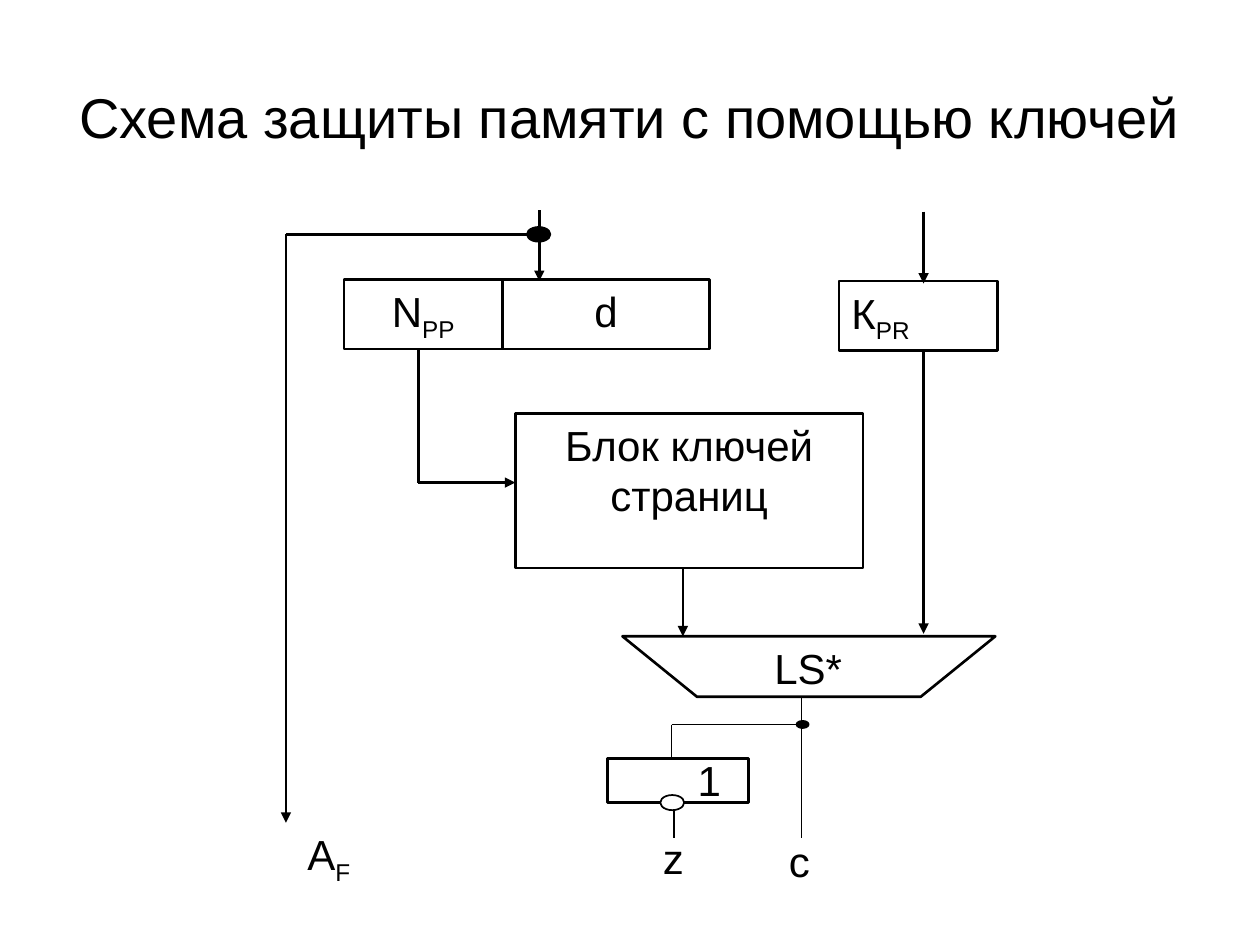
from dataclasses import dataclass

from lxml.etree import SubElement
from pptx import Presentation
from pptx.dml.color import RGBColor
from pptx.enum.shapes import MSO_CONNECTOR, MSO_SHAPE
from pptx.enum.text import MSO_ANCHOR, PP_ALIGN
from pptx.oxml.ns import qn
from pptx.util import Inches, Pt


@dataclass(frozen=True)
class Theme:
    """Colours, font and sizes of the diagram."""
    ink: RGBColor = RGBColor(0, 0, 0)
    paper: RGBColor = RGBColor(255, 255, 255)
    font: str = "Arial"
    title_size: float = 32
    label_size: float = 24
    thick: float = 1.5
    medium: float = 1
    thin: float = 0.75


THEME = Theme()


@dataclass
class Region:
    """A part of the page whose contents are placed from its top left corner."""
    page: object
    left: float
    top: float

    def frame(self, left, top, width, height):
        """Return a box of this region in page lengths."""
        return (Inches(self.left + left), Inches(self.top + top),
                Inches(width), Inches(height))

    def shape(self, kind, box, fill=None, weight=THEME.thick):
        """Add an outlined shape."""
        shape = self.page.shapes.add_shape(kind, *self.frame(*box))
        shape.shadow.inherit = False
        shape.line.color.rgb = THEME.ink
        shape.line.width = Pt(weight)
        if fill is None:
            shape.fill.background()
        else:
            shape.fill.solid()
            shape.fill.fore_color.rgb = fill
        return shape

    def cell(self, box, text, subscript="", align=PP_ALIGN.CENTER):
        """Add a labelled rectangle."""
        write(self.shape(MSO_SHAPE.RECTANGLE, box), text, subscript, align=align)

    def label(self, box, text, subscript="", size=THEME.label_size,
              anchor=MSO_ANCHOR.TOP):
        """Add a centred text box."""
        label = self.page.shapes.add_textbox(*self.frame(*box))
        write(label, text, subscript, size, anchor=anchor)

    def line(self, start, end, weight=THEME.thick, arrow=False):
        """Add a straight line, with an arrowhead at its end if asked."""
        ends = [Inches(length) for x, y in (start, end)
                for length in (self.left + x, self.top + y)]
        line = self.page.shapes.add_connector(MSO_CONNECTOR.STRAIGHT, *ends)
        line.line.color.rgb = THEME.ink
        line.line.width = Pt(weight)
        if arrow:
            SubElement(line.line._get_or_add_ln(), qn("a:tailEnd"), type="triangle")
        SubElement(line._element.spPr, qn("a:effectLst"))

    def arrow(self, start, end):
        """Add a thick arrow."""
        self.line(start, end, arrow=True)


def write(shape, text, subscript="", size=THEME.label_size,
          align=PP_ALIGN.CENTER, anchor=MSO_ANCHOR.TOP):
    """Write a label with an optional subscript into a shape."""
    frame = shape.text_frame
    frame.text = text
    frame.word_wrap = True
    frame.vertical_anchor = anchor
    para = frame.paragraphs[0]
    para.alignment = align
    if subscript:
        span = para.add_run()
        span.text = subscript
        span._r.get_or_add_rPr().set("baseline", "-25000")
    for span in para.runs:
        span.font.name = THEME.font
        span.font.size = Pt(size)
        span.font.color.rgb = THEME.ink


def add_title(region):
    """Place the title."""
    region.label((0, 0, 9, 1.25), "Схема защиты памяти с помощью ключей",
                 size=THEME.title_size, anchor=MSO_ANCHOR.MIDDLE)


def add_address(region):
    """Place the address register and the branch to the physical address."""
    region.cell((0.46, 0.55, 1.26, 0.55), "N", "PP")
    region.cell((1.72, 0.55, 1.64, 0.55), "d")
    region.arrow((2.01, 0), (2.01, 0.56))
    region.line((0, 0.19), (2.01, 0.19))
    region.arrow((0, 0.19), (0, 4.86))
    region.shape(MSO_SHAPE.OVAL, (1.91, 0.13, 0.19, 0.12), THEME.ink, THEME.thin)
    region.label((-0.85, 4.86, 2.38, 0.55), "A", "F")


def add_page_keys(region):
    """Place the page key block with its input and output."""
    region.line((0, 0), (0, 1.05))
    region.arrow((0, 1.05), (0.77, 1.05))
    region.cell((0.77, 0.5, 2.76, 1.23), "Блок ключей страниц")
    region.arrow((2.1, 1.73), (2.1, 2.27))


def add_program_key(region):
    """Place the program key register with its input and output."""
    region.arrow((0.67, 0), (0.67, 0.57))
    region.cell((0, 0.55, 1.26, 0.55), "К", "PR", PP_ALIGN.LEFT)
    region.arrow((0.67, 1.1), (0.67, 3.35))


def add_comparator(region):
    """Place the comparison circuit."""
    region.shape(MSO_SHAPE.FLOWCHART_MANUAL_OPERATION, (0, 0, 2.96, 0.48))
    region.label((0.57, 0, 1.81, 0.5), "LS*")


def add_outputs(region):
    """Place the inverter and the two output signals."""
    for start, end in (((1.87, 0), (1.87, 1.11)), ((0.84, 0.21), (1.87, 0.21)),
                       ((0.84, 0.21), (0.84, 0.48)), ((0.86, 0.9), (0.86, 1.11))):
        region.line(start, end, THEME.thin)
    region.shape(MSO_SHAPE.OVAL, (1.83, 0.18, 0.1, 0.06), THEME.ink, THEME.thin)
    region.shape(MSO_SHAPE.RECTANGLE, (0.33, 0.48, 1.12, 0.35))
    region.shape(MSO_SHAPE.OVAL, (0.75, 0.77, 0.19, 0.12), THEME.paper, THEME.medium)
    region.label((0.55, 0.4, 1.18, 0.5), "1")
    region.label((0, 1.02, 1.71, 0.52), "z")
    region.label((1, 1.04, 1.71, 0.5), "c")


def main():
    """Build the deck and save it."""
    deck = Presentation()
    deck.slide_width, deck.slide_height = Inches(10), Inches(7.5)
    page = deck.slides.add_slide(deck.slide_layouts[6])
    add_title(Region(page, 0.5, 0.3))
    add_address(Region(page, 2.27, 1.67))
    add_page_keys(Region(page, 3.32, 2.78))
    add_program_key(Region(page, 6.66, 1.68))
    add_comparator(Region(page, 4.94, 5.05))
    add_outputs(Region(page, 4.49, 5.54))
    deck.save("out.pptx")


if __name__ == "__main__":
    main()
